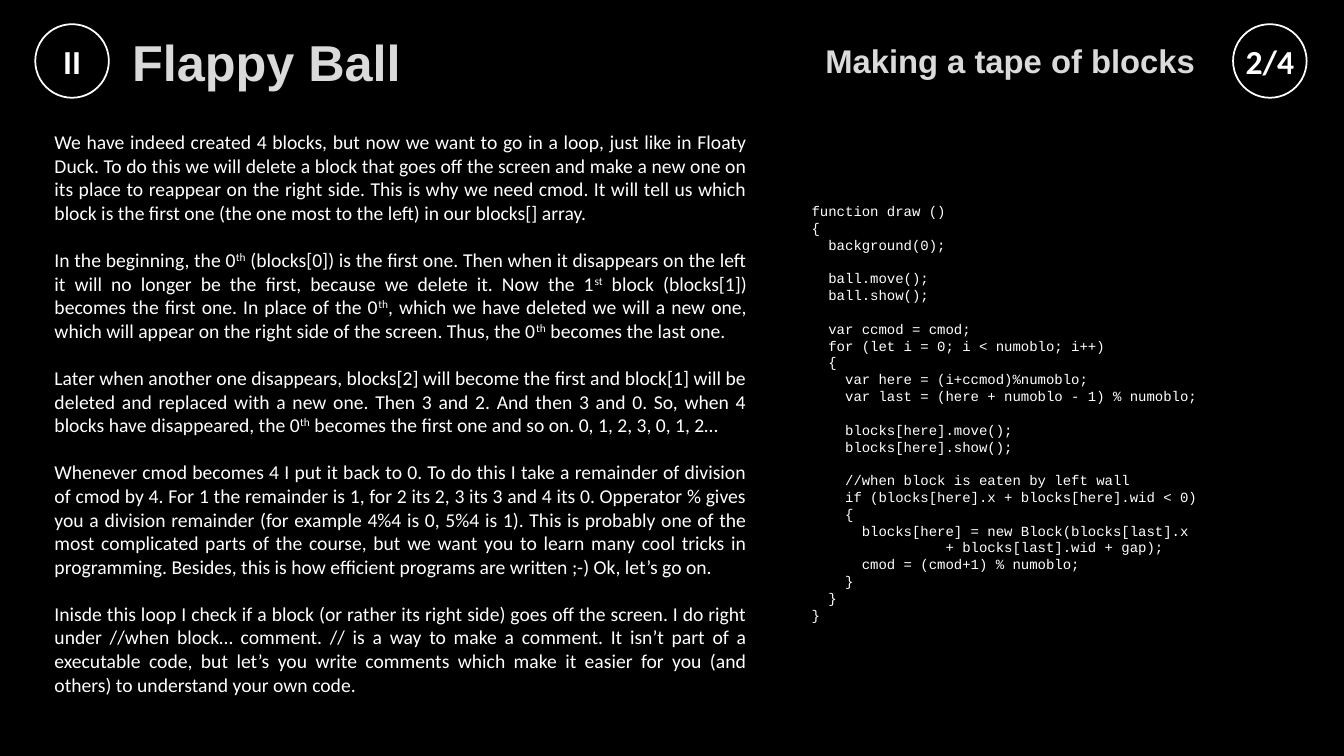
from pptx import Presentation
from pptx.dml.color import RGBColor
from pptx.enum.shapes import MSO_SHAPE
from pptx.enum.text import MSO_ANCHOR, MSO_AUTO_SIZE, PP_ALIGN
from pptx.oxml.ns import qn
from pptx.util import Inches, Pt

# Content: ^ raises the next two letters
TITLE = "Flappy Ball"
SUBTITLE = "Making a tape of blocks"
BADGES = [("II", 0.35), ("2/4", 12.23)]
STORY = [
    "We have indeed created 4 blocks, but now we want to go in a loop, just like in Floaty Duck. "
    "To do this we will delete a block that goes off the screen and make a new one on its place "
    "to reappear on the right side. This is why we need cmod. It will tell us which block is the "
    "first one (the one most to the left) in our blocks[] array.",
    "In the beginning, the 0^th (blocks[0]) is the first one. Then when it disappears on the left "
    "it will no longer be the first, because we delete it. Now the 1^st block (blocks[1]) becomes "
    "the first one. In place of the 0^th, which we have deleted we will a new one, which will "
    "appear on the right side of the screen. Thus, the 0^th becomes the last one.",
    "Later when another one disappears, blocks[2] will become the first and block[1] will be "
    "deleted and replaced with a new one. Then 3 and 2. And then 3 and 0. So, when 4 blocks have "
    "disappeared, the 0^th becomes the first one and so on. 0, 1, 2, 3, 0, 1, 2…",
    "Whenever cmod becomes 4 I put it back to 0. To do this I take a remainder of division of cmod "
    "by 4. For 1 the remainder is 1, for 2 its 2, 3 its 3 and 4 its 0. Opperator % gives you a "
    "division remainder (for example 4%4 is 0, 5%4 is 1). This is probably one of the most "
    "complicated parts of the course, but we want you to learn many cool tricks in programming. "
    "Besides, this is how efficient programs are written ;-) Ok, let’s go on.",
    "Inisde this loop I check if a block (or rather its right side) goes off the screen. I do "
    "right under //when block… comment. // is a way to make a comment. It isn’t part of a "
    "executable code, but let’s you write comments which make it easier for you (and others) to "
    "understand your own code.",
]
CODE = """function draw ()
{
  background(0);

  ball.move();
  ball.show();

  var ccmod = cmod;
  for (let i = 0; i < numoblo; i++)
  {
    var here = (i+ccmod)%numoblo;
    var last = (here + numoblo - 1) % numoblo;

    blocks[here].move();
    blocks[here].show();

    //when block is eaten by left wall
    if (blocks[here].x + blocks[here].wid < 0)
    {
      blocks[here] = new Block(blocks[last].x
                + blocks[last].wid + gap);
      cmod = (cmod+1) % numoblo;
    }
  }
}"""
WHITE, SILVER, BLACK = "FFFFFF", "DADADA", "000000"
LINE_GAP = {"story": 17, "code": 12}  # height of one line, points


def rgb(value):
    return RGBColor.from_string(value)


def place(sp, left, top, width, height, anchor=MSO_ANCHOR.MIDDLE):
    sp.left, sp.top, sp.width, sp.height = (Inches(v) for v in (left, top, width, height))
    tf = sp.text_frame
    tf.word_wrap = True
    tf.auto_size = MSO_AUTO_SIZE.NONE
    tf.vertical_anchor = anchor
    return tf


def style(p, font, size, color, align, bold=False, before=0):
    p.alignment = align
    p.space_before = Pt(before)
    p.font.name, p.font.size, p.font.bold = font, Pt(size), bold
    p.font.color.rgb = rgb(color)


def unbullet(p):
    pPr = p._p.get_or_add_pPr()
    pPr.set("marL", "0")
    pPr.set("indent", "0")
    pPr.insert_element_before(pPr.makeelement(qn("a:buNone"), {}), "a:tabLst", "a:defRPr", "a:extLst")


def add_raised(p, text):
    first, *rest = text.split("^")
    p.add_run().text = first
    for part in rest:
        r = p.add_run()
        r.text = part[:2]
        r._r.get_or_add_rPr().set("baseline", "30000")
        p.add_run().text = part[2:]


prs = Presentation()
prs.slide_width, prs.slide_height = Inches(13.33), Inches(7.5)
s = prs.slides.add_slide(prs.slide_layouts[3])
s.background.fill.solid()
s.background.fill.fore_color.rgb = rgb(BLACK)
title, story, code = s.placeholders

# Header
tf = place(title, 1.21, 0.34, 10.32, 0.53)
tf.text = TITLE
style(tf.paragraphs[0], "Arial", 36, SILVER, PP_ALIGN.LEFT, True)

tf = place(s.shapes.add_textbox(0, 0, 0, 0), 7.21, 0.16, 4.74, 0.88)
tf.text = SUBTITLE
style(tf.paragraphs[0], "Arial", 23.4, SILVER, PP_ALIGN.RIGHT, True)

for label, left in BADGES:
    sp = s.shapes.add_shape(MSO_SHAPE.OVAL, 0, 0, 0, 0)
    sp.shadow.inherit = False
    sp.fill.background()
    sp.line.color.rgb = rgb(WHITE)
    sp.line.width = Pt(1.25)
    tf = place(sp, left, 0.24, 0.73, 0.73)
    tf.margin_left = tf.margin_right = tf.margin_top = tf.margin_bottom = 0
    tf.text = label
    style(tf.paragraphs[0], "Calibri", 24, WHITE, PP_ALIGN.CENTER, True)

# Explanation
tf = place(story, 0.44, 1.24, 7.07, 5.76, MSO_ANCHOR.TOP)
for i, text in enumerate(STORY):
    p = tf.paragraphs[0] if i == 0 else tf.add_paragraph()
    style(p, "Calibri", 14, WHITE, PP_ALIGN.JUSTIFY, before=LINE_GAP["story"] if i else 0)
    unbullet(p)
    add_raised(p, text)

# Code: an empty line becomes space before the next one
tf = place(code, 7.95, 1.96, 5.19, 4.31, MSO_ANCHOR.TOP)
lines = CODE.split("\n")
for i, text in enumerate(lines):
    if not text:
        continue
    p = tf.paragraphs[0] if i == 0 else tf.add_paragraph()
    after_empty = i > 0 and not lines[i - 1]
    style(p, "Courier New", 10, WHITE, PP_ALIGN.LEFT, before=LINE_GAP["code"] if after_empty else 0)
    unbullet(p)
    p.add_run().text = text

prs.save("out.pptx")
